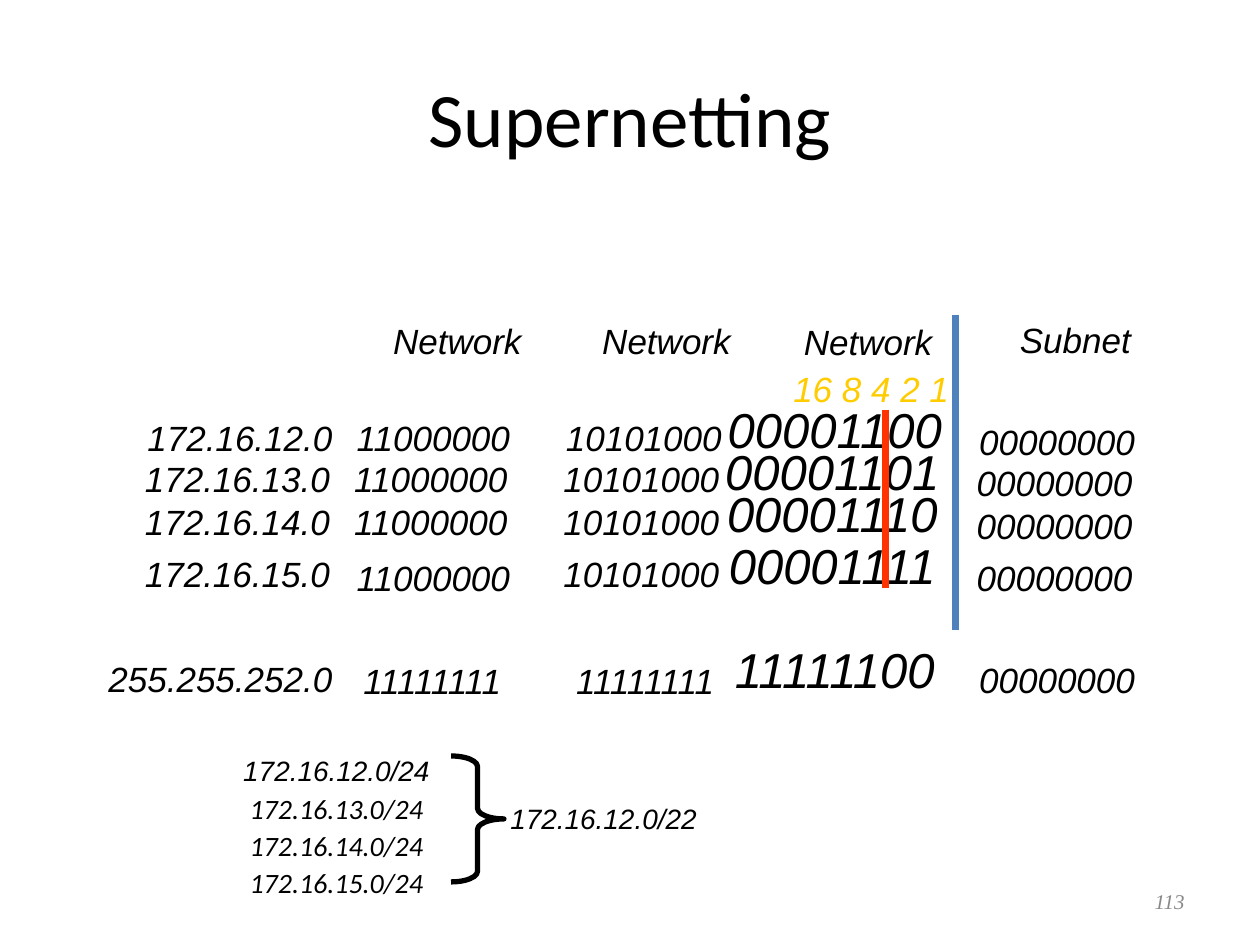
from dataclasses import dataclass

from lxml import etree
from pptx import Presentation
from pptx.dml.color import RGBColor
from pptx.enum.shapes import MSO_CONNECTOR, MSO_SHAPE
from pptx.enum.text import MSO_ANCHOR, PP_ALIGN
from pptx.oxml.ns import qn
from pptx.util import Inches, Pt

LEFT, CENTER, RIGHT = PP_ALIGN.LEFT, PP_ALIGN.CENTER, PP_ALIGN.RIGHT
MIDDLE = MSO_ANCHOR.MIDDLE


@dataclass(frozen=True)
class Theme:
    ink: str = "000000"
    weight: str = "FFCC00"
    divider: str = "4F81BD"
    cut: str = "FF3300"
    muted: str = "898989"
    sans: str = "Arial"
    heading: str = "Calibri"
    serif: str = "Times New Roman"
    title_size: int = 44
    octet_size: int = 28
    body_size: int = 20
    route_size: int = 16
    number_size: int = 12


THEME = Theme()

# Content
TITLE = "Supernetting"
PAGE_NUMBER = "113"
HEADERS = [("Network", 2.84, 2.51, 1.58), ("Network", 4.5, 2.51, 1.58),
           ("Network", 6.1, 2.52, 1.58), ("Subnet", 7.83, 2.5, 1.41)]
BIT_WEIGHTS = "16 8 4 2 1"
NETWORKS = [
    ("172.16.12.0", "11000000", "10101000", "00001100", "00000000"),
    ("172.16.13.0", "11000000", "10101000", "00001101", "00000000"),
    ("172.16.14.0", "11000000", "10101000", "00001110", "00000000"),
    ("172.16.15.0", "11000000", "10101000", "00001111", "00000000"),
]
MASK = ("255.255.252.0", "11111111", "11111111", "11111100", "00000000")
ROUTES = [("172.16.12.0/24", THEME.sans), ("172.16.13.0/24", THEME.heading),
          ("172.16.14.0/24", THEME.heading), ("172.16.15.0/24", THEME.heading)]
SUPERNET = "172.16.12.0/22"

# Grid in inches: column left and width, row left shift and top
COLUMNS = [(0.27, 2.39), (2.75, 1.38), (4.39, 1.44), (5.75, 1.75), (7.67, 1.44)]
ROWS = [(0, 3.31), (-0.02, 3.64), (-0.02, 3.98), (-0.02, 4.39)]
MASK_TOP = 5.24
ROW_HEIGHT = 0.42
OCTET, SUBNET = 3, 4
NUDGES = {(3, 1): (0.02, 0.03)}
MASK_NUDGES = [(0, 0), (-0.01, 0.02), (0.01, 0.02), (0, -0.01), (0, -0.01)]
HEADER_SPACING, ROW_SPACING, MASK_SPACING = 23.6, 21.4, 20.2
OCTET_SPACE_BEFORE = 13.5


def style(span, size, font=THEME.sans, color=THEME.ink, italic=True):
    span.font.size = Pt(size)
    span.font.name = font
    span.font.italic = italic
    span.font.color.rgb = RGBColor.from_string(color)


def add_label(page, lines, left, top, width, height=ROW_HEIGHT, size=THEME.body_size,
              color=THEME.ink, align=CENTER, spacing=ROW_SPACING, before=0):
    """Add an unwrapped label; lines are (text, font) pairs or one string."""
    if isinstance(lines, str):
        lines = [(lines, THEME.sans)]
    box = page.shapes.add_textbox(*map(Inches, (left, top, width, height)))
    frame = box.text_frame
    frame.word_wrap = False
    frame.margin_left = frame.margin_right = Inches(0.02)
    frame.margin_top = frame.margin_bottom = Inches(0.03)
    frame.text = "\n".join(text for text, _ in lines)
    for para, (_, font) in zip(frame.paragraphs, lines):
        para.alignment = align
        para.line_spacing = Pt(spacing)
        para.space_before = Pt(before)
        style(para.runs[0], size, font, color)
    return box


def add_vertical(page, x, top, bottom, color):
    line = page.shapes.add_connector(MSO_CONNECTOR.STRAIGHT, *map(Inches, (x, top, x, bottom)))
    line.line.color.rgb = RGBColor.from_string(color)
    line.line.width = Pt(4)
    etree.SubElement(line._element.spPr, qn("a:effectLst"))


def add_title(page):
    title = page.shapes.title
    title.left, title.top, title.width, title.height = map(Inches, (0.5, 0.3, 9, 1.25))
    title.text_frame.text = TITLE
    title.text_frame.vertical_anchor = MIDDLE
    para = title.text_frame.paragraphs[0]
    para.alignment = CENTER
    style(para.runs[0], THEME.title_size, THEME.heading, italic=False)


def add_address_grid(page):
    for text, left, top, width in HEADERS:
        add_label(page, text, left, top, width, 0.58, spacing=HEADER_SPACING)
    add_label(page, BIT_WEIGHTS, 5.58, 2.92, 2.67, color=THEME.weight)

    for column, (left, width) in enumerate(COLUMNS):
        align = RIGHT if column == 0 else CENTER
        is_octet = column == OCTET
        size = THEME.octet_size if is_octet else THEME.body_size
        for row, (shift, top) in enumerate(ROWS):
            dx, dy = NUDGES.get((row, column), (0, 0.03 if column == SUBNET else 0))
            add_label(page, NETWORKS[row][column], left + shift + dx, top + dy, width,
                      0.86 if is_octet else ROW_HEIGHT, size, align=align,
                      before=OCTET_SPACE_BEFORE if is_octet else 0)
        dx, dy = MASK_NUDGES[column]
        spacing = ROW_SPACING if column == SUBNET else MASK_SPACING
        add_label(page, MASK[column], left + dx, MASK_TOP + dy, width,
                  size=size, align=align, spacing=spacing)


def add_summary(page):
    add_label(page, ROUTES, 1.67, 5.92, 2, 1.25, THEME.route_size)
    add_label(page, SUPERNET, 4, 6.3, 1.58, size=THEME.route_size)
    brace = page.shapes.add_shape(MSO_SHAPE.RIGHT_BRACE, *map(Inches, (3.58, 6, 0.42, 1)))
    brace.shadow.inherit = False
    brace.adjustments[0] = 0.2
    brace.fill.background()
    brace.line.color.rgb = RGBColor.from_string(THEME.ink)
    brace.line.width = Pt(3)


def add_page_number(page):
    box = page.shapes.add_textbox(*map(Inches, (7.17, 6.95, 2.33, 0.4)))
    frame = box.text_frame
    frame.word_wrap = True
    frame.vertical_anchor = MIDDLE
    frame.text = PAGE_NUMBER
    frame.paragraphs[0].alignment = RIGHT
    style(frame.paragraphs[0].runs[0], THEME.number_size, THEME.serif, THEME.muted)


def main():
    deck = Presentation()
    deck.slide_width, deck.slide_height = Inches(10), Inches(7.5)
    page = deck.slides.add_slide(deck.slide_layouts[5])
    add_title(page)
    # Divider between network and host octets
    add_vertical(page, 7.58, 2.5, 5, THEME.divider)
    add_address_grid(page)
    # Cut between shared and varying bits
    add_vertical(page, 7.03, 3.25, 4.67, THEME.cut)
    add_summary(page)
    add_page_number(page)
    deck.save("out.pptx")


if __name__ == "__main__":
    main()
